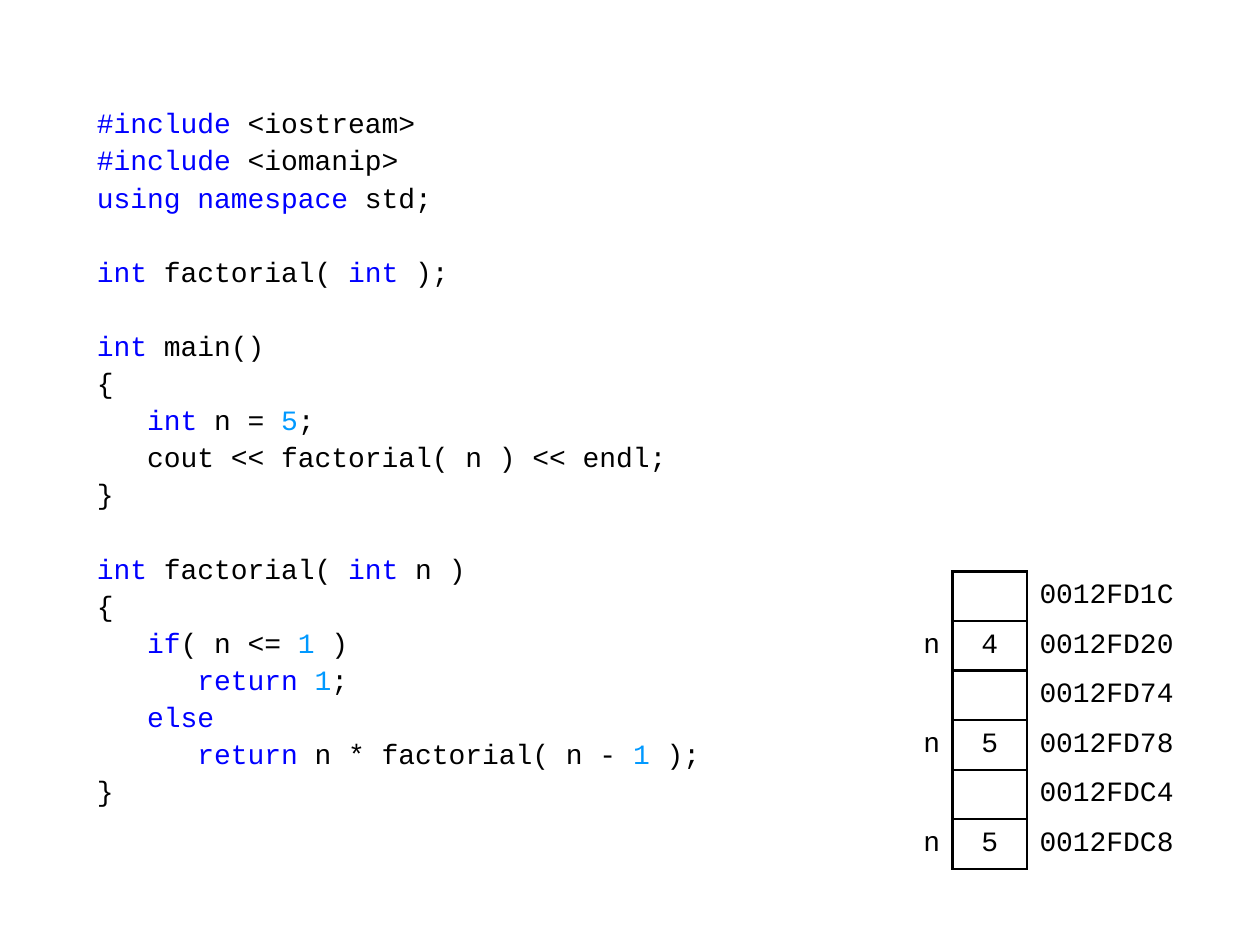
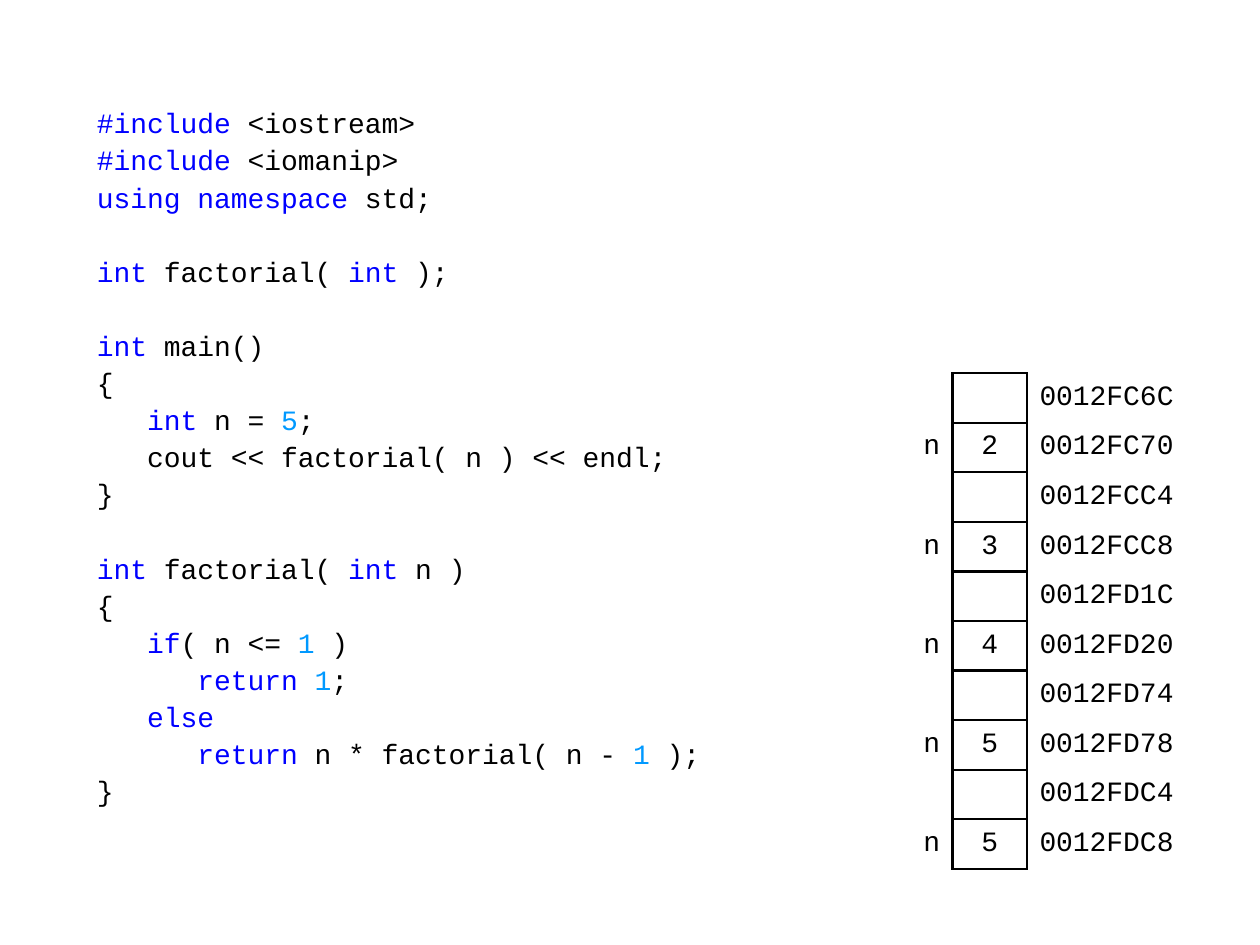
from dataclasses import dataclass
from itertools import groupby

from lxml.etree import SubElement as Sub
from pptx import Presentation as Deck
from pptx.dml.color import RGBColor as Rgb
from pptx.enum.text import MSO_ANCHOR as Anchor, PP_ALIGN as Align
from pptx.oxml.ns import qn
from pptx.util import Inches, Pt

CODE = """\
#include <iostream>
#include <iomanip>
using namespace std;

int factorial( int );

int main()
{
   int n = 5;
   cout << factorial( n ) << endl;
}

int factorial( int n )
{
   if( n <= 1 )
      return 1;
   else
      return n * factorial( n - 1 );
}"""
KEYS = {"#include", "using", "namespace", "int", "if", "return", "else"}

# Stack memory from low to high address: (address, value of n or blank)
STACK = [
    ("0012FC6C", ""), ("0012FC70", "2"),
    ("0012FCC4", ""), ("0012FCC8", "3"),
    ("0012FD1C", ""), ("0012FD20", "4"),
    ("0012FD74", ""), ("0012FD78", "5"),
    ("0012FDC4", ""), ("0012FDC8", "5"),
]
GRID = (100, 75)  # columns and rows of the slide
ROWS = 12
SPANS = (2, 3, 7)  # table columns in twelfths of its width
PLAIN = "{2D5ABB26-0587-4C30-8999-92F81FD0307C}"  # table style without lines


@dataclass(frozen=True)
class Theme:
    font: str = "Courier New"
    size: float = 16
    gap: float = 2        # space between code lines
    pitch: float = 21.24  # height of a code line with its gap
    rule: float = 1.5
    ink: str = "000000"
    key: str = "0000FF"
    num: str = "0099FF"


class Page:
    """Holds the theme and the slide being drawn."""

    def __init__(self, deck, theme):
        self.deck, self.theme = deck, theme
        self.slide = deck.slides.add_slide(deck.slide_layouts[6])

    def place(self, x, y, w, h):
        """Turn grid columns and rows into lengths."""
        col = self.deck.slide_width / GRID[0]
        row = self.deck.slide_height / GRID[1]
        return [round(n) for n in (x * col, y * row, w * col, h * row)]

    def style(self, para):
        para.font.name, para.font.size = self.theme.font, Pt(self.theme.size)

    def tint(self, word):
        if word in KEYS:
            return self.theme.key
        return self.theme.num if word.isdigit() else self.theme.ink

    def code(self, text, *box):
        """Set source text in colour; empty lines become space before."""
        frame = self.slide.shapes.add_textbox(*self.place(*box)).text_frame
        frame.word_wrap = True
        frame.margin_top = Inches(0.04)
        para, skip = None, 0
        for line in text.splitlines():
            if not line:
                skip += 1
                continue
            first = para is None
            para = frame.paragraphs[0] if first else frame.add_paragraph()
            space = 0 if first else self.theme.gap + skip * self.theme.pitch
            para.space_before = Pt(space)
            self.style(para)
            words = ("".join(run) for _, run in groupby(
                line, lambda c: c.isalnum() or c == "#"))
            for tint, part in groupby(words, self.tint):
                run = para.add_run()
                run.text = "".join(part)
                run.font.color.rgb = Rgb.from_string(tint)
            skip = 0

    def edge(self, cell, sides):
        props = cell._tc.get_or_add_tcPr()
        for side in sides:
            line = Sub(props, qn(f"a:ln{side}"), w=str(Pt(self.theme.rule)))
            fill = Sub(line, qn("a:solidFill"))
            Sub(fill, qn("a:srgbClr"), val=self.theme.ink)

    def fill(self, cell, text, align, sides):
        self.edge(cell, sides)
        cell.fill.background()
        cell.vertical_anchor = Anchor.MIDDLE
        cell.margin_top = cell.margin_bottom = Inches(0.04)
        para = cell.text_frame.paragraphs[0]
        para.text, para.alignment = text, align
        self.style(para)
        para.font.color.rgb = Rgb.from_string(self.theme.ink)

    def stack(self, words, *box):
        """Draw the words at the foot of the grid, under unused rows."""
        place = self.place(*box)
        frame = self.slide.shapes.add_table(ROWS, len(SPANS), *place)
        next(frame._element.iter(qn("a:tableStyleId"))).text = PLAIN
        table = frame.table
        table.first_row = table.horz_banding = False
        for col, span in zip(table.columns, SPANS):
            col.width = round(place[2] * span / sum(SPANS))
        free = ROWS - len(words)
        blank = [("", "")] * free
        for i, (row, (addr, val)) in enumerate(zip(table.rows, blank + words)):
            row.height = round(place[3] / ROWS)
            if i < free:
                sides = ("", "B" if i == free - 1 else "", "")
            else:
                sides = ("R", "LRTB", "L")
            texts = ("n" if val else "", val, addr)
            aligns = (Align.RIGHT, Align.CENTER, Align.LEFT)
            for args in zip(row.cells, texts, aligns, sides):
                self.fill(*args)


def main():
    deck = Deck()
    deck.slide_width, deck.slide_height = Inches(10), Inches(7.5)
    theme = Theme()
    for count in (6, 10):
        page = Page(deck, theme)
        page.code(CODE, 6.7, 8, 51.2, 57.1)
        page.stack(STACK[-count:], 71.67, 21.75, 23.6, 47.2)
    deck.save("out.pptx")


if __name__ == "__main__":
    main()
